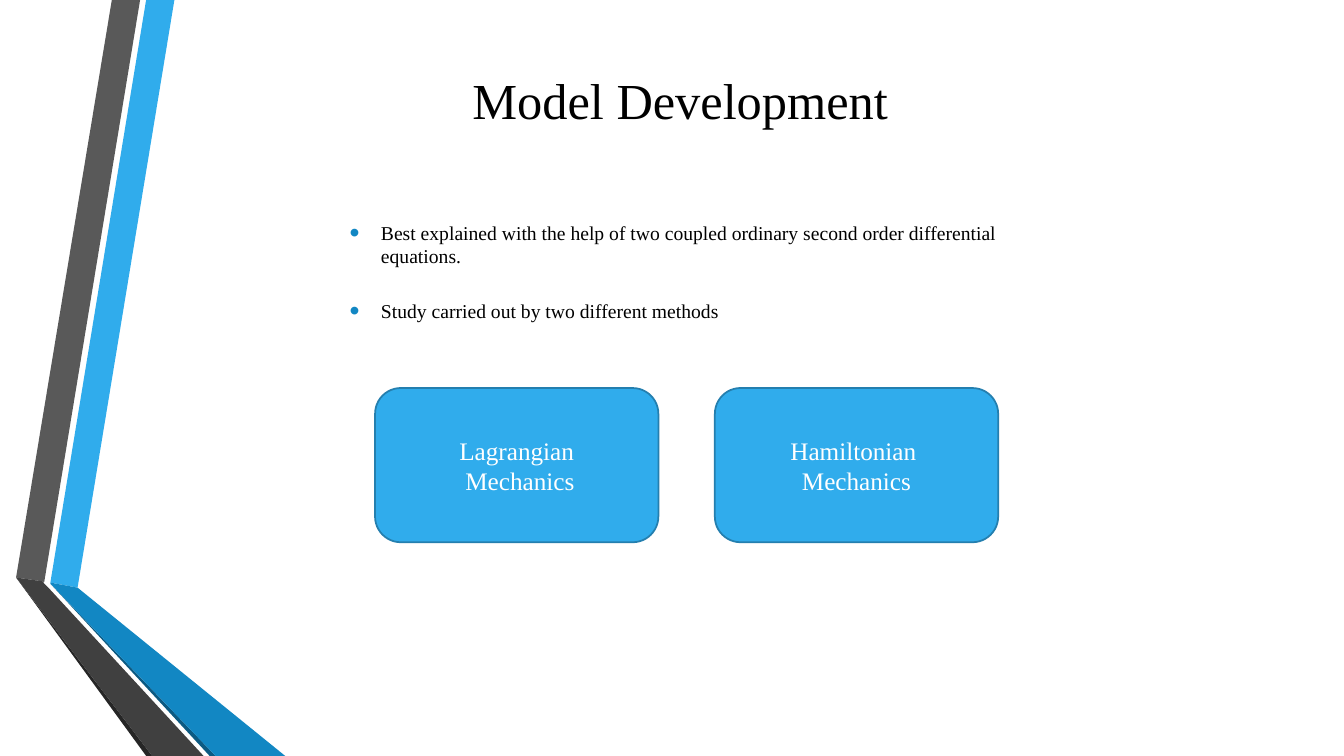
import pptx
import pptx.dml.color
import pptx.enum.shapes
import pptx.enum.text
import pptx.oxml
import pptx.oxml.ns
import pptx.util
from pptx.util import Inches

RGBColor = pptx.dml.color.RGBColor
BLACK = RGBColor(0x00, 0x00, 0x00)
WHITE = RGBColor(0xFF, 0xFF, 0xFF)
SKY = RGBColor(0x30, 0xAC, 0xEC)
BLUE = RGBColor(0x12, 0x87, 0xC3)
NAVY = RGBColor(0x0C, 0x5A, 0x82)
OUTLINE = RGBColor(0x24, 0x7F, 0xAF)
GRAY = RGBColor(0x59, 0x59, 0x59)
DARK_GRAY = RGBColor(0x40, 0x40, 0x40)
CHARCOAL = RGBColor(0x26, 0x26, 0x26)

RIBBONS = [
    (SKY, [(0.5, 5.78), (0.77, 5.83), (1.73, 0), (1.45, 0)]),
    (GRAY, [(1.39, 0), (1.11, 0), (0.16, 5.73), (0.44, 5.77)]),
    (CHARCOAL, [(0.16, 5.73), (1.45, 7.5), (1.51, 7.5)]),
    (NAVY, [(0.5, 5.79), (2.08, 7.5), (2.14, 7.5)]),
    (BLUE, [(0.5, 5.78), (0.5, 5.79), (2.14, 7.5), (2.83, 7.5), (0.77, 5.83)]),
    (DARK_GRAY, [(2.02, 7.5), (0.48, 5.83), (0.43, 5.78), (0.44, 5.77),
                 (0.16, 5.73), (1.51, 7.5)]),
]
BULLETS = [
    "Best explained with the help of two coupled ordinary second order "
    "differential equations.",
    "Study carried out by two different methods",
]
METHODS = [["Lagrangian", " Mechanics"], ["Hamiltonian ", "Mechanics"]]


class SlideBuilder:
    font_name = "Times New Roman"

    def __init__(self, slide):
        self.slide = slide

    def apply(self, target, values):
        for name, value in values.items():
            setattr(target, name, value)

    def place(self, shape, left, top, width, height):
        self.apply(shape, {
            "left": Inches(left), "top": Inches(top),
            "width": Inches(width), "height": Inches(height),
        })

    def set_text(self, shape, lines, size, color, alignment, anchor):
        frame = shape.text_frame
        self.apply(frame, {
            "text": "\n".join(lines), "word_wrap": True,
            "vertical_anchor": anchor,
            "auto_size": pptx.enum.text.MSO_AUTO_SIZE.NONE,
        })
        for paragraph in frame.paragraphs:
            paragraph.alignment = alignment
            for run in paragraph.runs:
                self.apply(run.font, {"name": self.font_name, "size": pptx.util.Pt(size)})
                run.font.color.rgb = color

    def title(self, text, box):
        title = self.slide.shapes.title
        self.place(title, *box)
        self.set_text(title, [text], 36, BLACK, pptx.enum.text.PP_ALIGN.CENTER,
                      pptx.enum.text.MSO_ANCHOR.MIDDLE)

    def ribbon(self, color, points):
        corners = [(Inches(x), Inches(y)) for x, y in points]
        builder = self.slide.shapes.build_freeform(*corners[0])
        builder.add_line_segments(corners[1:], close=True)
        shape = builder.convert_to_shape()
        shape.shadow.inherit = False
        shape.fill.solid()
        shape.fill.fore_color.rgb = color
        shape.line.fill.background()

    def bullets(self, lines, box):
        shape = self.slide.shapes.add_textbox(*map(Inches, box))
        self.set_text(shape, lines, 14, BLACK, pptx.enum.text.PP_ALIGN.LEFT,
                      pptx.enum.text.MSO_ANCHOR.TOP)
        namespace = pptx.oxml.ns.nsdecls("a")
        for paragraph in shape.text_frame.paragraphs:
            properties = paragraph._p.get_or_add_pPr()
            properties.set("marL", str(Inches(0.31)))
            properties.set("indent", str(-Inches(0.31)))
            for markup in (
                f'<a:buClr {namespace}><a:srgbClr val="{BLUE}"/></a:buClr>',
                f'<a:buSzPct {namespace} val="145000"/>',
                f'<a:buFont {namespace} typeface="Arial"/>',
                f'<a:buChar {namespace} char="•"/>',
            ):
                properties.append(pptx.oxml.parse_xml(markup))
        for paragraph in shape.text_frame.paragraphs[:-1]:
            paragraph.space_after = pptx.util.Pt(22)

    def card(self, lines, box):
        shape = self.slide.shapes.add_shape(
            pptx.enum.shapes.MSO_SHAPE.ROUNDED_RECTANGLE, *map(Inches, box))
        shape.shadow.inherit = False
        shape.fill.solid()
        shape.fill.fore_color.rgb = SKY
        shape.line.color.rgb = OUTLINE
        shape.line.width = pptx.util.Pt(1.25)
        self.set_text(shape, lines, 18, WHITE, pptx.enum.text.PP_ALIGN.CENTER,
                      pptx.enum.text.MSO_ANCHOR.MIDDLE)


def main():
    presentation = pptx.Presentation()
    presentation.slide_width = Inches(13.33)
    presentation.slide_height = Inches(7.5)
    builder = SlideBuilder(presentation.slides.add_slide(presentation.slide_layouts[5]))
    for color, points in RIBBONS:
        builder.ribbon(color, points)
    builder.title("Model Development ", (2.11, 0.65, 9.4, 0.67))
    builder.bullets(BULLETS, (3.37, 2.14, 6.89, 1.3))
    for index, lines in enumerate(METHODS):
        builder.card(lines, (3.72 + 3.37 * index, 3.85, 2.81, 1.53))
    presentation.save("out.pptx")


if __name__ == "__main__":
    main()
